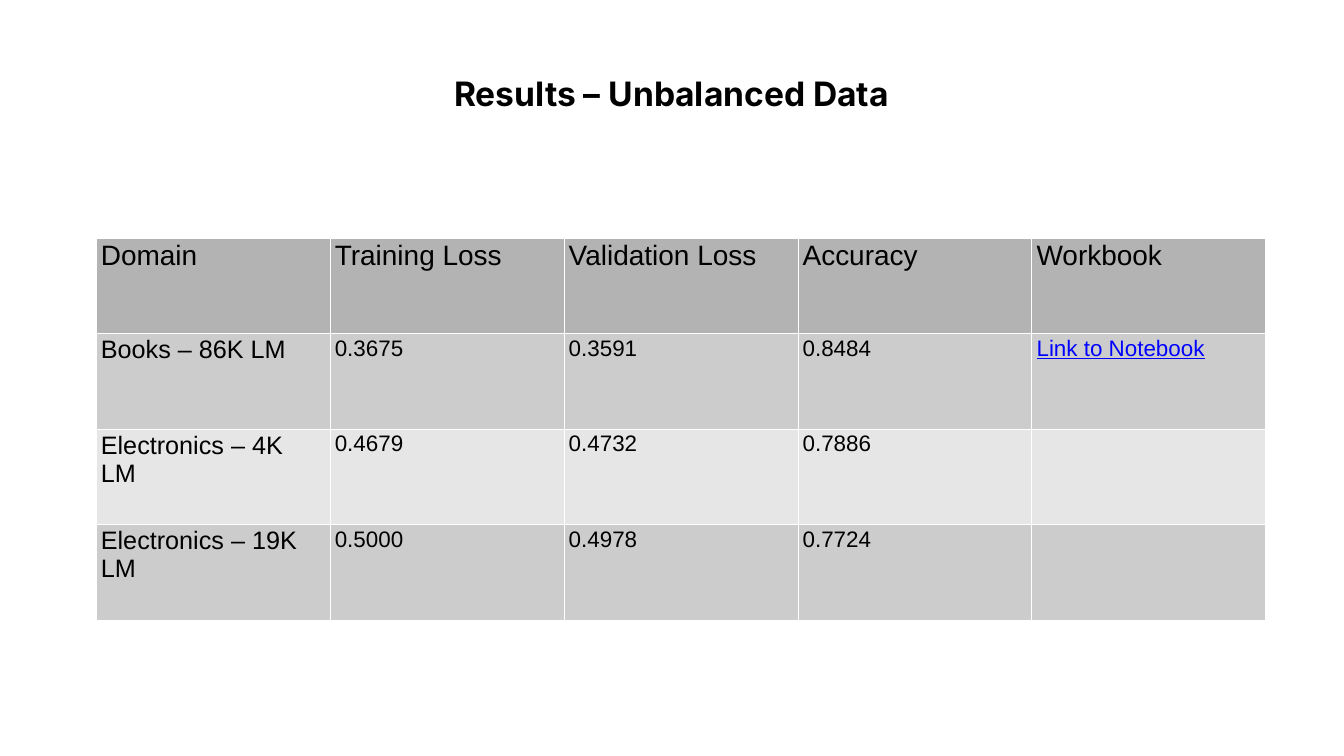
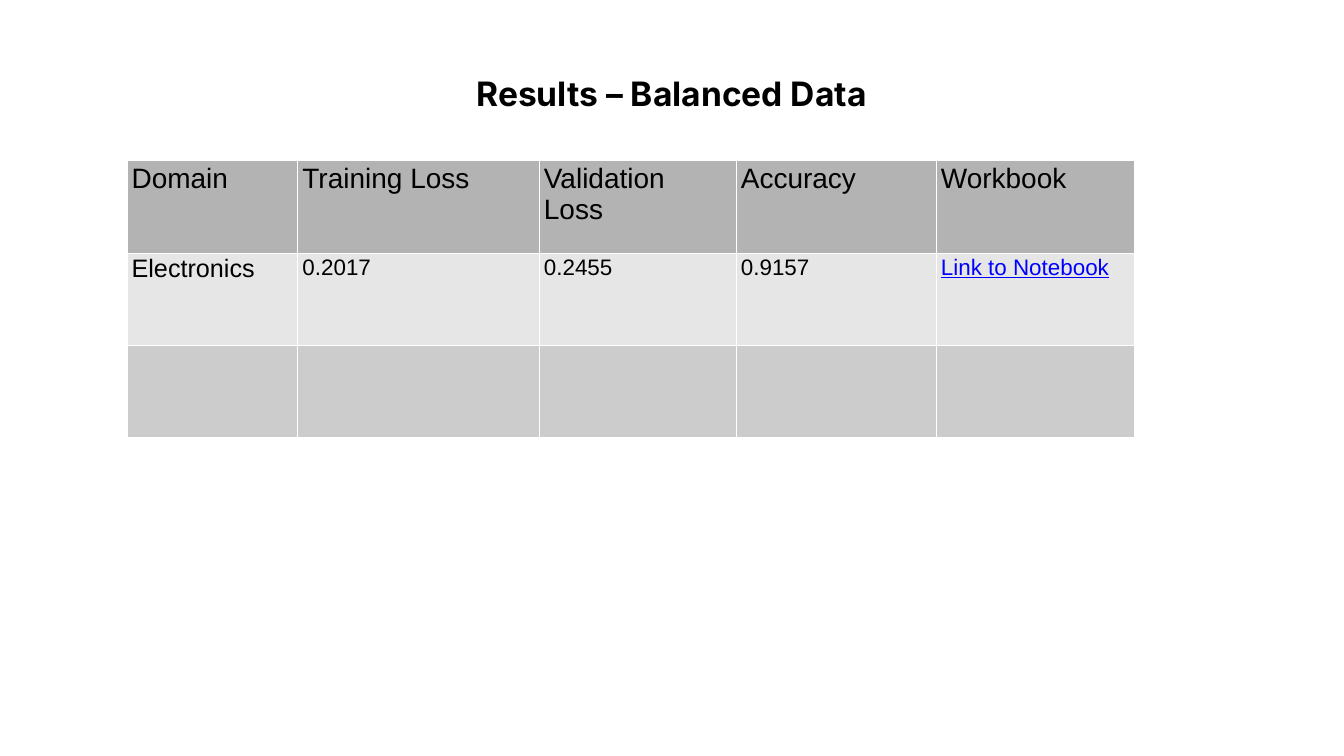
from itertools import cycle

from lxml import etree
from pptx import Presentation
from pptx.dml.color import RGBColor
from pptx.enum.text import MSO_ANCHOR, MSO_AUTO_SIZE, PP_ALIGN
from pptx.oxml.ns import qn
from pptx.util import Cm, Pt

MIDDLE, CENTER, NO_FIT = MSO_ANCHOR.MIDDLE, PP_ALIGN.CENTER, MSO_AUTO_SIZE.NONE
TITLE_ONLY = 5

BLACK, WHITE, LINK_BLUE = "000000", "FFFFFF", "0000FF"
HEADER_FILL, DARK_BAND, LIGHT_BAND = "B3B3B3", "CCCCCC", "E6E6E6"
BORDER_PT = 0.06

TITLE = {"name": "Inter", "size": Pt(48), "bold": True}
HEADER = {"name": "Arial", "size": Pt(40), "bold": False}
DOMAIN = {**HEADER, "size": Pt(36)}
VALUE = {**HEADER, "size": Pt(32)}
LINK = {**VALUE, "underline": True}

TITLE_BOX = (3.38, 1.52, 60.96, 6.35)
COLUMNS = ["Domain", "Training Loss", "Validation Loss", "Accuracy", "Workbook"]
LINK_TEXT = "Link to Notebook"


def rgb(hex_color):
    """Turn a hex string into a colour."""
    return RGBColor.from_string(hex_color)


def write(tf, text, style, color=BLACK):
    """Put one formatted run into a text frame and return its paragraph."""
    p = tf.paragraphs[0]
    r = p.add_run()
    r.text = text
    for name, value in style.items():
        setattr(r.font, name, value)
    r.font.color.rgb = rgb(color)
    return p


def set_borders(cell):
    """Draw thin white lines on all four sides of a cell."""
    tc_pr = cell._tc.get_or_add_tcPr()
    for i, side in enumerate(("a:lnL", "a:lnR", "a:lnT", "a:lnB")):
        ln = etree.Element(qn(side), w=str(int(Pt(BORDER_PT))))
        fill = etree.SubElement(ln, qn("a:solidFill"))
        etree.SubElement(fill, qn("a:srgbClr"), val=WHITE)
        tc_pr.insert(i, ln)


def add_title(s, text, box):
    """Place and format the title placeholder."""
    sp = s.shapes.title
    sp.left, sp.top, sp.width, sp.height = map(Cm, box)
    tf = sp.text_frame
    frame = {"margin_left": 0, "margin_right": 0, "margin_top": 0, "margin_bottom": 0,
             "word_wrap": True, "auto_size": NO_FIT, "vertical_anchor": MIDDLE}
    for name, value in frame.items():
        setattr(tf, name, value)
    write(tf, text, TITLE).alignment = CENTER


def cell_style(row, col, text):
    """Choose the text format and colour from a cell's role."""
    if row == 0:
        return HEADER, BLACK
    if col == 0:
        return DOMAIN, BLACK
    return (LINK, LINK_BLUE) if text == LINK_TEXT else (VALUE, BLACK)


def add_results_table(s, left, top, widths, row_height, results, bands):
    """Draw the header and the result rows with alternating bands."""
    rows = [COLUMNS, *results]
    table = s.shapes.add_table(len(rows), len(widths), Cm(left), Cm(top),
                               Cm(sum(widths)), Cm(row_height * len(rows))).table
    for column, width in zip(table.columns, widths):
        column.width = Cm(width)
    band = cycle(bands)
    for i, texts in enumerate(rows):
        table.rows[i].height = Cm(row_height)
        fill = next(band) if i else HEADER_FILL
        for j, text in enumerate(texts):
            cell = table.cell(i, j)
            cell.fill.solid()
            cell.fill.fore_color.rgb = rgb(fill)
            set_borders(cell)
            if text:
                write(cell.text_frame, text, *cell_style(i, j, text))


def add_results_slide(prs, title, **table):
    """Add a slide with a title and a results table."""
    s = prs.slides.add_slide(prs.slide_layouts[TITLE_ONLY])
    s.background.fill.solid()
    s.background.fill.fore_color.rgb = rgb(WHITE)
    add_title(s, title, TITLE_BOX)
    add_results_table(s, **table)


prs = Presentation()
prs.slide_width, prs.slide_height = Cm(67.74), Cm(38.1)

add_results_slide(
    prs, "Results – Unbalanced Data",
    left=4.83, top=11.99, widths=[11.79] * len(COLUMNS), row_height=4.81,
    bands=(DARK_BAND, LIGHT_BAND),
    results=[
        ["Books – 86K LM", "0.3675", "0.3591", "0.8484", LINK_TEXT],
        ["Electronics – 4K LM", "0.4679", "0.4732", "0.7886", ""],
        ["Electronics – 19K LM", "0.5000", "0.4978", "0.7724", ""],
    ])

add_results_slide(
    prs, "Results – Balanced Data",
    left=6.38, top=8.08, widths=[8.61, 12.17, 9.93, 10.08, 9.98], row_height=4.65,
    bands=(LIGHT_BAND, DARK_BAND),
    results=[
        ["Electronics", "0.2017", "0.2455", "0.9157", LINK_TEXT],
        [""] * len(COLUMNS),
    ])

prs.save("out.pptx")
